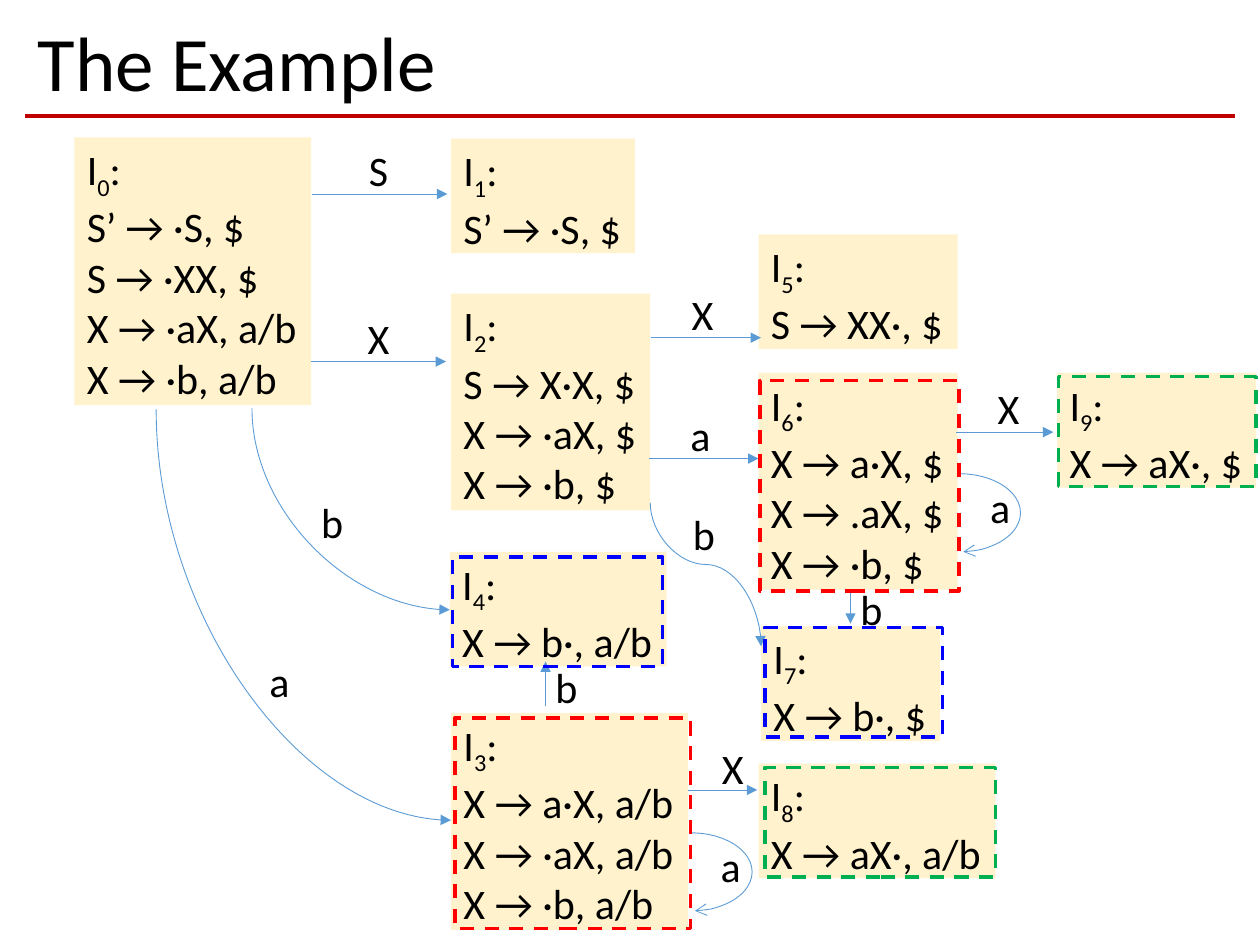
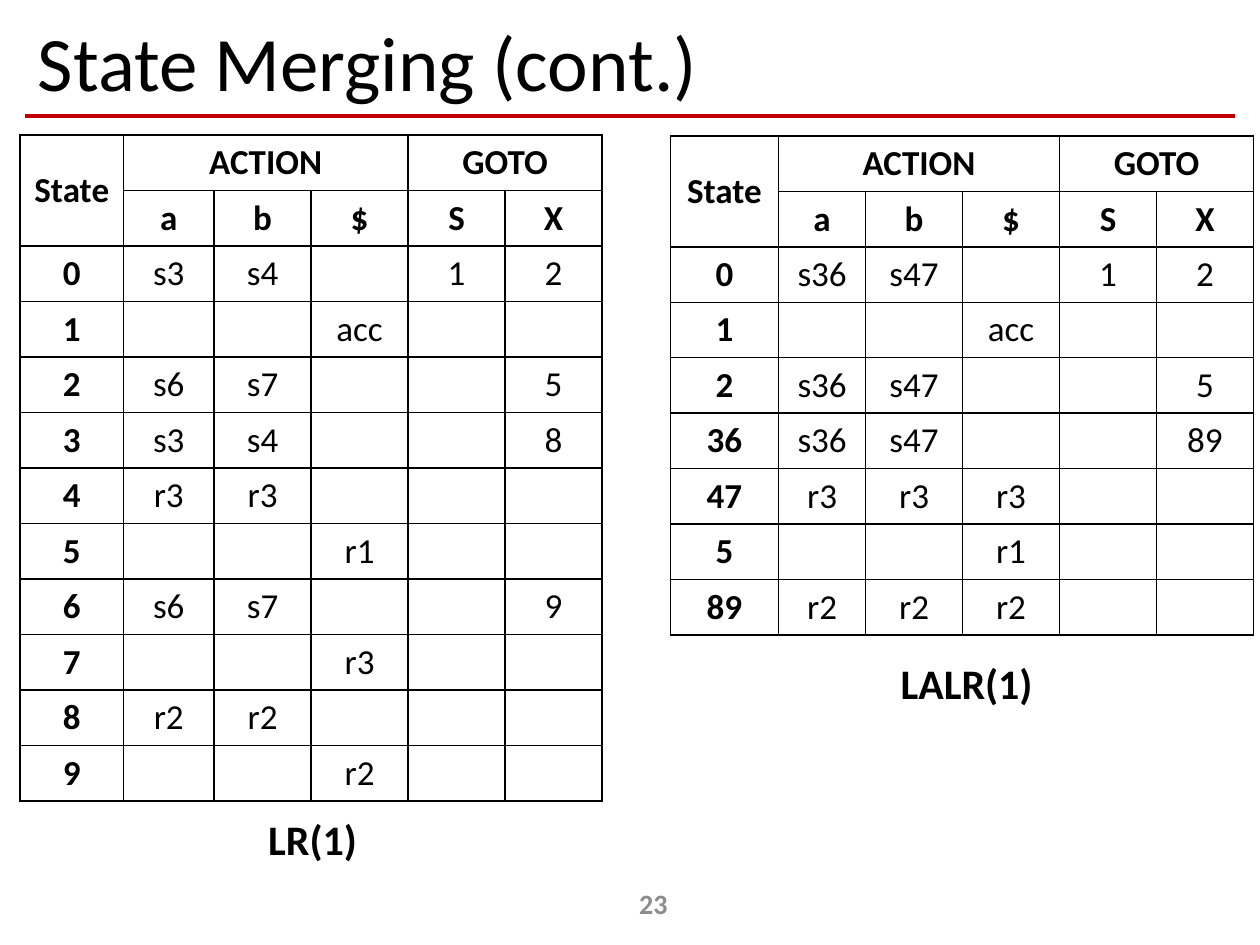
from dataclasses import dataclass

from lxml import etree
from pptx import Presentation
from pptx.dml.color import RGBColor
from pptx.enum.dml import MSO_LINE
from pptx.enum.shapes import MSO_CONNECTOR, MSO_SHAPE
from pptx.enum.text import MSO_ANCHOR, MSO_AUTO_SIZE, PP_ALIGN
from pptx.oxml.ns import qn
from pptx.util import Inches, Pt

RECT, ARC = MSO_SHAPE.RECTANGLE, MSO_SHAPE.ARC
STRAIGHT, CURVE = MSO_CONNECTOR.STRAIGHT, MSO_CONNECTOR.CURVE
LEFT, CENTER = PP_ALIGN.LEFT, PP_ALIGN.CENTER
TOP, MIDDLE = MSO_ANCHOR.TOP, MSO_ANCHOR.MIDDLE
FIT, NO_FIT = MSO_AUTO_SIZE.SHAPE_TO_FIT_TEXT, MSO_AUTO_SIZE.NONE
DASH = MSO_LINE.DASH


@dataclass(frozen=True)
class Theme:
    font: str = "Calibri"
    ink: str = "000000"
    rule: str = "C00000"
    state: str = "FFF2CC"
    edge: str = "5B9BD5"
    page: str = "8C8C8C"
    red: str = "FF0000"
    blue: str = "0000FF"
    green: str = "00B050"
    title_size: int = 44
    body_size: int = 24
    table_size: int = 20
    page_size: int = 16


THEME = Theme()
SLIDE_W, SLIDE_H = 10, 7.5
TITLE_BOX = (0.2, 0.13, 9.61, 0.79)
RULE = ((0.2, 0.92), (9.8, 0.92))
PAGE_BOX = (4.06, 6.97, 2.25, 0.4)
LINE_H, PADDING = 0.405, 0.1      # height of a state is its lines plus padding
LABEL_W, LABEL_H = 0.38, 0.5
ROW_H = 0.44
LOOP_W, LOOP_H = 0.97, 0.62
LOOP_ANGLES = (162, 50.574)

# Slide 1: number, left, top, width, items
EXAMPLE_TITLE = "The Example"
STATES = [
    ("0", 0.59, 1.09, 1.88, ["S’ → ·S, $", "S → ·XX, $", "X → ·aX, a/b", "X → ·b, a/b"]),
    ("1", 3.58, 1.1, 1.46, ["S’ → ·S, $"]),
    ("2", 3.58, 2.33, 1.58, ["S → X·X, $", "X → ·aX, $", "X → ·b, $"]),
    ("3", 3.58, 5.66, 1.88, ["X → a·X, a/b", "X → ·aX, a/b", "X → ·b, a/b"]),
    ("4", 3.57, 4.38, 1.72, ["X → b·, a/b"]),
    ("5", 6.02, 1.86, 1.58, ["S → XX·, $"]),
    ("6", 6.02, 2.96, 1.58, ["X → a·X, $", "X → .aX, $", "X → ·b, $"]),
    ("7", 6.04, 4.97, 1.42, ["X → b·, $"]),
    ("9", 8.39, 2.96, 1.58, ["X → aX·, $"]),
    ("8", 6.02, 6.06, 1.88, ["X → aX·, a/b"]),
]
# symbol, label corner, start, end
STRAIGHT_MOVES = [
    ("S", (2.83, 1.1), (2.48, 1.54), (3.55, 1.54)),
    ("X", (2.82, 2.43), (2.47, 2.87), (3.54, 2.87)),
    ("X", (5.39, 2.24), (5.17, 2.68), (6.04, 2.68)),
    ("a", (5.38, 3.2), (5.15, 3.64), (6.02, 3.64)),
    ("X", (7.82, 2.99), (7.59, 3.43), (8.36, 3.43)),
    ("b", (6.73, 4.58), (6.75, 4.69), (6.75, 4.95)),
    ("X", (5.63, 5.84), (5.46, 6.27), (6.01, 6.27)),
    ("b", (4.31, 5.2), (4.33, 5.6), (4.33, 5.25)),
]
# symbol, label corner, start, end, share of the drop before the bend (None: one bend)
CURVED_MOVES = [
    ("a", (2.04, 5.15), (1.24, 3.25), (3.58, 6.51), None),
    ("b", (2.45, 3.89), (2, 3.24), (3.57, 4.84), None),
    ("b", (5.4, 3.99), (5.16, 3.99), (6.04, 5.13), 0.43),
]
# symbol, label corner, loop corner
LOOPS = [("a", (7.76, 3.77), (7.13, 3.76)), ("a", (5.62, 6.62), (5, 6.61))]
# Frames of one colour mark the states that merge
MERGE_FRAMES = [
    (THEME.red, [(3.61, 5.7, 1.87, 1.67), (6.03, 3.02, 1.58, 1.67)]),
    (THEME.blue, [(3.59, 4.42, 1.67, 0.87), (6.07, 4.98, 1.41, 0.87)]),
    (THEME.green, [(6.07, 6.09, 1.83, 0.87), (8.4, 2.99, 1.57, 0.87)]),
]

# Slide 2
MERGING_TITLE, MERGING_PAGE = "State Merging (cont.)", "23"
HEADER = [["State", "ACTION", "", "", "GOTO", ""], ["", "a", "b", "$", "S", "X"]]
HEADER_SPANS = [((0, 0), (1, 0)), ((0, 1), (0, 3)), ((0, 4), (0, 5))]
PARSE_TABLES = [
    {
        "caption": "LR(1)", "caption_box": (2.03, 6.41, 0.91, LABEL_H),
        "corner": (0.16, 1.07), "columns": [0.82, 0.72] + [0.77] * 4,
        "rows": [
            ["0", "s3", "s4", "", "1", "2"],
            ["1", "", "", "acc", "", ""],
            ["2", "s6", "s7", "", "", "5"],
            ["3", "s3", "s4", "", "", "8"],
            ["4", "r3", "r3", "", "", ""],
            ["5", "", "", "r1", "", ""],
            ["6", "s6", "s7", "", "", "9"],
            ["7", "", "", "r3", "", ""],
            ["8", "r2", "r2", "", "", ""],
            ["9", "", "", "r2", "", ""],
        ],
    },
    {
        "caption": "LALR(1)", "caption_box": (7.05, 5.17, 1.26, LABEL_H),
        "corner": (5.32, 1.08), "columns": [0.86, 0.69] + [0.77] * 4,
        "rows": [
            ["0", "s36", "s47", "", "1", "2"],
            ["1", "", "", "acc", "", ""],
            ["2", "s36", "s47", "", "", "5"],
            ["36", "s36", "s47", "", "", "89"],
            ["47", "r3", "r3", "r3", "", ""],
            ["5", "", "", "r1", "", ""],
            ["89", "r2", "r2", "r2", "", ""],
        ],
    },
]


def inches(values):
    return [Inches(value) for value in values]


def rgb(color):
    return RGBColor.from_string(color)


def add_run(paragraph, text, size=THEME.body_size, color=THEME.ink, bold=False):
    run = paragraph.add_run()
    run.text = text
    font = run.font
    font.name, font.size, font.bold = THEME.font, Pt(size), bold
    font.color.rgb = rgb(color)
    return run


def set_frame(frame, anchor=TOP, wrap=False, fit=FIT):
    frame.vertical_anchor, frame.word_wrap, frame.auto_size = anchor, wrap, fit
    return frame


def add_label(slide, text, box, **style):
    frame = set_frame(slide.shapes.add_textbox(*inches(box)).text_frame)
    add_run(frame.paragraphs[0], text, **style)
    return frame


def add_symbol(slide, symbol, corner):
    add_label(slide, symbol, (*corner, LABEL_W, LABEL_H))


def add_line(slide, kind, start, end, color, width):
    line = slide.shapes.add_connector(kind, *inches((*start, *end)))
    line.line.color.rgb, line.line.width = rgb(color), Pt(width)
    etree.SubElement(line._element.spPr, qn("a:effectLst"))
    return line


def add_arrowhead(shape, style):
    etree.SubElement(shape.line._get_or_add_ln(), qn("a:tailEnd"), type=style)


def add_slide(deck, title):
    slide = deck.slides.add_slide(deck.slide_layouts[5])
    heading = slide.shapes.title
    heading.left, heading.top, heading.width, heading.height = inches(TITLE_BOX)
    paragraph = set_frame(heading.text_frame, MIDDLE, True, NO_FIT).paragraphs[0]
    paragraph.alignment, paragraph.line_spacing = LEFT, 0.9
    add_run(paragraph, title, THEME.title_size)
    add_line(slide, STRAIGHT, *RULE, THEME.rule, 2.5)
    return slide


def add_page_number(slide, number):
    frame = add_label(slide, number, PAGE_BOX, size=THEME.page_size,
                      color=THEME.page, bold=True)
    set_frame(frame, MIDDLE, True, NO_FIT).paragraphs[0].alignment = CENTER


def add_state(slide, number, left, top, width, items):
    height = PADDING + LINE_H * (1 + len(items))
    state = slide.shapes.add_shape(RECT, *inches((left, top, width, height)))
    state.shadow.inherit = False
    state.fill.solid()
    state.fill.fore_color.rgb = rgb(THEME.state)
    state.line.fill.background()
    frame = set_frame(state.text_frame)
    name = frame.paragraphs[0]
    add_run(name, "I")
    add_run(name, number).font._element.set("baseline", "-25000")
    add_run(name, ":")
    for item in items:
        add_run(frame.add_paragraph(), item)
    for paragraph in frame.paragraphs:
        paragraph.alignment = LEFT


def add_curve(slide, start, end, bend):
    """Leave start downwards: a mirrored connector turned by 270 degrees."""
    (x1, y1), (x2, y2) = start, end
    mid_x, mid_y = (x1 + x2) / 2, (y1 + y2) / 2
    half_w, half_h = (y2 - y1) / 2, (x2 - x1) / 2
    curve = add_line(slide, CURVE, (mid_x + half_w, mid_y - half_h),
                     (mid_x - half_w, mid_y + half_h), THEME.edge, 0.5)
    properties = curve._element.spPr
    properties.find(qn("a:xfrm")).set("rot", "16200000")
    geometry = properties.find(qn("a:prstGeom"))
    if bend is None:
        geometry.set("prst", "curvedConnector2")
    else:
        etree.SubElement(geometry.find(qn("a:avLst")), qn("a:gd"),
                         name="adj1", fmla=f"val {round(bend * 100000)}")
    return curve


def add_loop(slide, corner):
    loop = slide.shapes.add_shape(ARC, *inches((*corner, LOOP_W, LOOP_H)))
    loop.shadow.inherit = False
    loop.adjustments[0], loop.adjustments[1] = LOOP_ANGLES
    loop.fill.background()
    loop.line.color.rgb, loop.line.width = rgb(THEME.edge), Pt(0.5)
    add_arrowhead(loop, "arrow")


def add_merge_frame(slide, box, color):
    frame = slide.shapes.add_shape(RECT, *inches(box))
    frame.shadow.inherit = False
    frame.fill.background()
    frame.line.color.rgb, frame.line.width = rgb(color), Pt(2)
    frame.line.dash_style = DASH


def set_borders(cell):
    properties = cell._tc.get_or_add_tcPr()
    for index, side in enumerate(("lnL", "lnR", "lnT", "lnB")):
        border = etree.Element(qn(f"a:{side}"), w=str(Pt(1)))
        fill = etree.SubElement(border, qn("a:solidFill"))
        etree.SubElement(fill, qn("a:srgbClr"), val=THEME.ink)
        properties.insert(index, border)


def add_parse_table(slide, corner, columns, rows, caption, caption_box):
    content = HEADER + rows
    size = (sum(columns), ROW_H * len(content))
    table = slide.shapes.add_table(len(content), len(columns),
                                   *inches((*corner, *size))).table
    table.first_row = table.horz_banding = False
    for column, width in zip(table.columns, columns):
        column.width = Inches(width)
    for r, texts in enumerate(content):
        table.rows[r].height = Inches(ROW_H)
        for c, text in enumerate(texts):
            cell = table.cell(r, c)
            cell.fill.background()
            set_borders(cell)
            if text:
                paragraph = cell.text_frame.paragraphs[0]
                paragraph.alignment = CENTER
                add_run(paragraph, text, THEME.table_size,
                        bold=r < len(HEADER) or c == 0)
    for first, last in HEADER_SPANS:
        table.cell(*first).merge(table.cell(*last))
    table.cell(0, 0).vertical_anchor = MIDDLE
    add_label(slide, caption, caption_box, bold=True)


def build_example(deck):
    slide = add_slide(deck, EXAMPLE_TITLE)
    for state in STATES:
        add_state(slide, *state)
    for symbol, corner, start, end in STRAIGHT_MOVES:
        add_arrowhead(add_line(slide, STRAIGHT, start, end, THEME.edge, 0.5), "triangle")
        add_symbol(slide, symbol, corner)
    for symbol, corner, start, end, bend in CURVED_MOVES:
        add_arrowhead(add_curve(slide, start, end, bend), "triangle")
        add_symbol(slide, symbol, corner)
    for symbol, corner, loop_corner in LOOPS:
        add_loop(slide, loop_corner)
        add_symbol(slide, symbol, corner)
    for color, boxes in MERGE_FRAMES:
        for box in boxes:
            add_merge_frame(slide, box, color)


def build_merging(deck):
    slide = add_slide(deck, MERGING_TITLE)
    add_page_number(slide, MERGING_PAGE)
    for parse_table in PARSE_TABLES:
        add_parse_table(slide, **parse_table)


def main():
    deck = Presentation()
    deck.slide_width, deck.slide_height = Inches(SLIDE_W), Inches(SLIDE_H)
    build_example(deck)
    build_merging(deck)
    deck.save("out.pptx")


if __name__ == "__main__":
    main()
